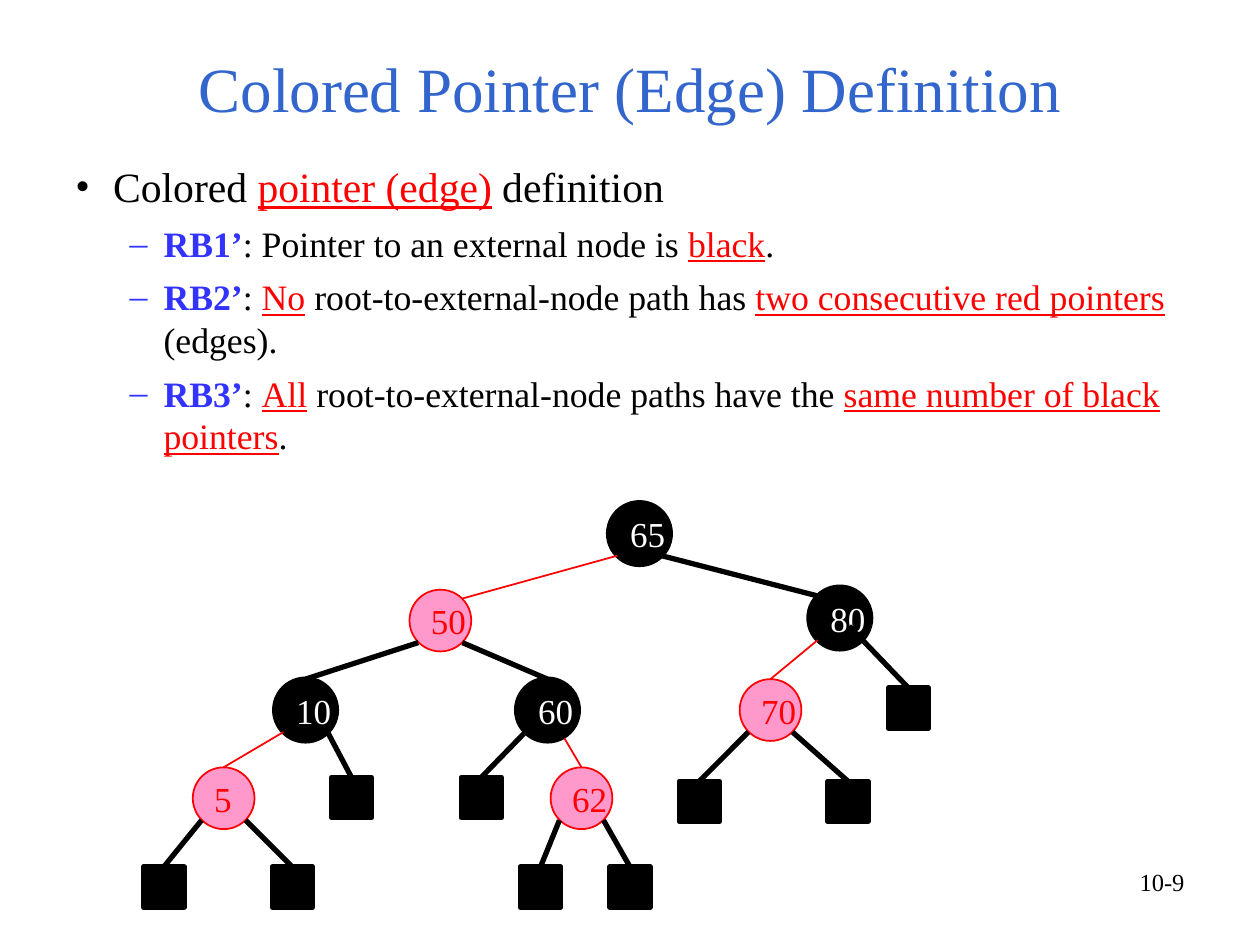
from lxml import etree
from pptx import Presentation
from pptx.dml.color import RGBColor
from pptx.enum.shapes import MSO_CONNECTOR, MSO_SHAPE
from pptx.enum.text import MSO_ANCHOR, PP_ALIGN
from pptx.oxml.ns import qn
from pptx.util import Inches, Pt

STRAIGHT = MSO_CONNECTOR.STRAIGHT
OVAL = MSO_SHAPE.OVAL
RECTANGLE = MSO_SHAPE.RECTANGLE
TOP, MIDDLE, BOTTOM = MSO_ANCHOR.TOP, MSO_ANCHOR.MIDDLE, MSO_ANCHOR.BOTTOM
LEFT, CENTER, RIGHT = PP_ALIGN.LEFT, PP_ALIGN.CENTER, PP_ALIGN.RIGHT

BLACK = RGBColor(0x00, 0x00, 0x00)
WHITE = RGBColor(0xFF, 0xFF, 0xFF)
RED = RGBColor(0xFF, 0x00, 0x00)
PINK = RGBColor(0xFF, 0x99, 0xCC)
BLUE = RGBColor(0x33, 0x33, 0xFF)
TITLE_BLUE = RGBColor(0x33, 0x66, 0xCC)
FONT = "Times New Roman"

NODE_SIZE = 0.49
LEAF_SIZE = 0.32
NEAR, FAR = 0.07, 0.42
ROOT = "65"
RED_KEYS = {"50", "70", "5", "62"}

KEYS = {
    "65": (None, None, 3.69, 0),
    "50": ("65", "left", 2.11, 0.69),
    "80": ("65", "right", 5.28, 0.67),
    "10": ("50", "left", 1.04, 1.4),
    "60": ("50", "right", 2.96, 1.4),
    "70": ("80", "left", 4.73, 1.4),
    "5": ("10", "left", 0.39, 2.1),
    "62": ("60", "right", 3.23, 2.1),
}
LEAVES = [
    ("5", "left", 0, 2.89),
    ("5", "right", 1.02, 2.89),
    ("10", "right", 1.49, 2.18),
    ("60", "left", 2.52, 2.18),
    ("62", "left", 2.99, 2.89),
    ("62", "right", 3.7, 2.89),
    ("70", "left", 4.25, 2.21),
    ("70", "right", 5.43, 2.21),
    ("80", "right", 5.91, 1.47),
]
EDGE_STARTS = {("60", "right"): (0.38, 0.47), ("80", "right"): (0.32, 0.31)}

MARKED = {"color": RED, "underline": True}
RULE = {"color": BLUE, "bold": True}
DEFINITION = [
    (0, [("Colored ", {}), ("pointer (edge)", MARKED), (" definition", {})]),
    (1, [("RB1’", RULE), (": Pointer to an external node is ", {}),
         ("black", MARKED), (".", {})]),
    (1, [("RB2’", RULE), (": ", {}), ("No", MARKED),
         (" root-to-external-node path has ", {}),
         ("two consecutive red pointers", MARKED), (" (edges).", {})]),
    (1, [("RB3’", RULE), (": ", {}), ("All", MARKED),
         (" root-to-external-node paths have the ", {}),
         ("same number of black pointers", MARKED), (".", {})]),
]
LEVELS = [
    {"size": 23.8, "margin": 0.3, "indent": -0.3, "bullet": "•", "color": BLACK},
    {"size": 20.4, "margin": 0.7, "indent": -0.27, "bullet": "–", "color": BLUE},
]


def add_text(paragraph, text, size, color=BLACK, bold=False, underline=False, align=LEFT):
    paragraph.alignment = align
    run = paragraph.add_run()
    run.text = text
    run.font.name = FONT
    run.font.size = Pt(size)
    run.font.color.rgb = color
    run.font.bold = bold
    run.font.underline = underline


def add_frame(slide, box, anchor=TOP, margins=(0.1, 0.05, 0.1, 0.05)):
    frame = slide.shapes.add_textbox(*map(Inches, box)).text_frame
    frame.word_wrap = True
    frame.vertical_anchor = anchor
    frame.margin_left, frame.margin_top, frame.margin_right, frame.margin_bottom = map(
        Inches, margins)
    return frame


def set_bullet(paragraph, level):
    properties = paragraph._p.get_or_add_pPr()
    properties.set("marL", str(Inches(level["margin"])))
    properties.set("indent", str(Inches(level["indent"])))
    color = etree.SubElement(properties, qn("a:buClr"))
    etree.SubElement(color, qn("a:srgbClr"), val=str(level["color"]))
    etree.SubElement(properties, qn("a:buFont"), typeface=FONT)
    etree.SubElement(properties, qn("a:buChar"), char=level["bullet"])


def add_title(slide, box):
    frame = add_frame(slide, box, BOTTOM, (0, 0.05, 0, 0))
    add_text(frame.paragraphs[0], "Colored Pointer (Edge) Definition", 36,
             color=TITLE_BLUE, align=CENTER)


def add_definition(slide, box):
    frame = add_frame(slide, box)
    for index, (depth, runs) in enumerate(DEFINITION):
        paragraph = frame.add_paragraph() if index else frame.paragraphs[0]
        paragraph.level = depth
        paragraph.space_before = Pt(6 if index else 0)
        set_bullet(paragraph, LEVELS[depth])
        for text, style in runs:
            add_text(paragraph, text, LEVELS[depth]["size"], **style)


def add_page_number(slide, box):
    add_text(add_frame(slide, box).paragraphs[0], "10-9", 14, align=RIGHT)


def add_node(slide, kind, x, y, size, is_red=False):
    shape = slide.shapes.add_shape(kind, Inches(x), Inches(y), Inches(size), Inches(size))
    shape.shadow.inherit = False
    shape.fill.solid()
    shape.fill.fore_color.rgb = PINK if is_red else BLACK
    shape.line.color.rgb = RED if is_red else BLACK
    shape.line.width = Pt(1 if is_red else 3)
    return shape


def add_key(slide, key, x, y):
    is_red = key in RED_KEYS
    shape = add_node(slide, OVAL, x, y, NODE_SIZE, is_red)
    frame = shape.text_frame
    frame.word_wrap = False
    frame.vertical_anchor = MIDDLE
    add_text(frame.paragraphs[0], key, 20, color=RED if is_red else WHITE)
    return shape


def add_edge(slide, parent, side, child, is_red, parent_key):
    corner = (NEAR if side == "left" else FAR, FAR)
    start_x, start_y = EDGE_STARTS.get((parent_key, side), corner)
    end_x = FAR if side == "left" else NEAR
    edge = slide.shapes.add_connector(
        STRAIGHT, parent.left + Inches(start_x), parent.top + Inches(start_y),
        child.left + Inches(end_x), child.top + Inches(NEAR))
    if parent_key != ROOT:
        edge.end_connect(child, 0)
    edge.line.color.rgb = RED if is_red else BLACK
    edge.line.width = Pt(1 if is_red else 3)
    etree.SubElement(edge._element.spPr, qn("a:effectLst"))


def add_tree(slide, box):
    left, top = box[:2]
    nodes = {key: add_key(slide, key, left + x, top + y)
             for key, (_, _, x, y) in KEYS.items()}
    edges = [(parent, side, nodes[key], key in RED_KEYS)
             for key, (parent, side, _, _) in KEYS.items() if parent]
    for parent, side, x, y in LEAVES:
        leaf = add_node(slide, RECTANGLE, left + x, top + y, LEAF_SIZE)
        edges.append((parent, side, leaf, False))
    for parent, side, child, is_red in edges:
        add_edge(slide, nodes[parent], side, child, is_red, parent)


def main():
    presentation = Presentation()
    presentation.slide_width = Inches(10)
    presentation.slide_height = Inches(7.5)
    slide = presentation.slides.add_slide(presentation.slide_layouts[6])
    add_title(slide, (0.5, 0.3, 9, 0.69))
    add_definition(slide, (0.5, 1.23, 9, 2.52))
    add_page_number(slide, (7.17, 6.83, 2.33, 0.52))
    add_tree(slide, (1.14, 3.99, 6.23, 3.21))
    presentation.save("out.pptx")


if __name__ == "__main__":
    main()
